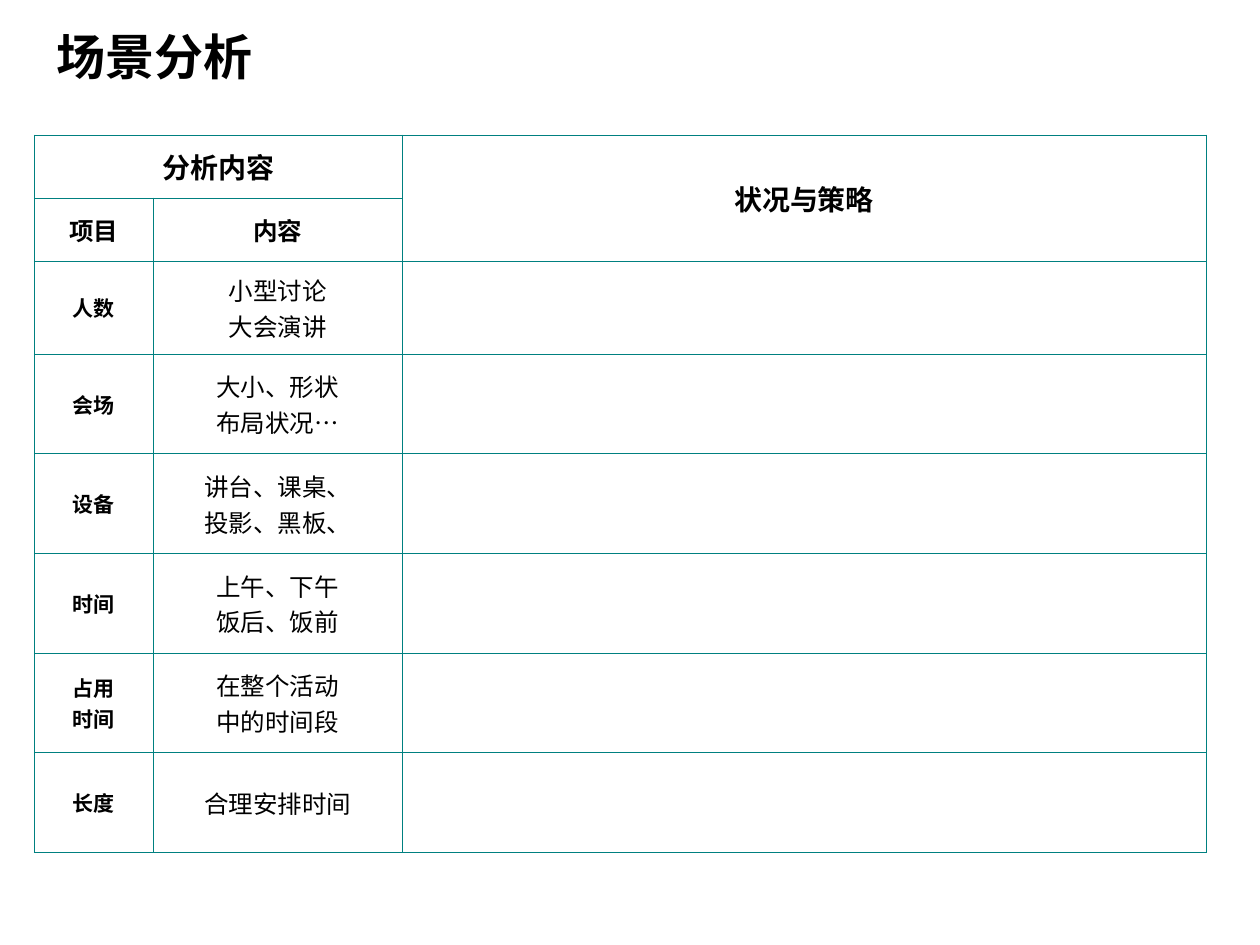
from dataclasses import dataclass

from lxml.etree import SubElement
from pptx import Presentation
from pptx.dml.color import RGBColor
from pptx.enum.text import MSO_ANCHOR, PP_ALIGN
from pptx.oxml.ns import qn
from pptx.slide import Slide
from pptx.table import Table, _Cell as Cell
from pptx.text.text import TextFrame
from pptx.util import Cm, Pt


@dataclass(frozen=True)
class Theme:
    ink: str = "000000"
    grid: str = "008080"
    grid_width: float = 0.45
    title_font: str = "Arial"
    table_font: str = "Times New Roman"
    title_size: int = 28
    header_size: int = 16
    body_size: int = 14
    item_size: int = 12


@dataclass(frozen=True)
class Aspect:
    item: str
    content: str


THEME = Theme()
ASPECTS = [
    Aspect("人数", "小型讨论\n大会演讲"),
    Aspect("会场", "大小、形状\n布局状况…"),
    Aspect("设备", "讲台、课桌、\n投影、黑板、"),
    Aspect("时间", "上午、下午\n饭后、饭前"),
    Aspect("占用\n时间", "在整个活动\n中的时间段"),
    Aspect("长度", "合理安排时间"),
]
COLUMN_WIDTHS = [Cm(2.4), Cm(5.02), Cm(16.2)]
ROW_HEIGHTS = [Cm(1.27)] * 2 + [Cm(1.88)] + [Cm(2.01)] * (len(ASPECTS) - 1)


def write(frame: TextFrame, wording: str, font_name: str, size: int,
          bold: bool, align: PP_ALIGN) -> None:
    frame.text = wording
    for paragraph in frame.paragraphs:
        paragraph.alignment = align
        for run in paragraph.runs:
            run.font.name = font_name
            run.font.size = Pt(size)
            run.font.bold = bold
            run.font.color.rgb = RGBColor.from_string(THEME.ink)


def write_cell(cell: Cell, wording: str, size: int, bold: bool = True) -> None:
    write(cell.text_frame, wording, THEME.table_font, size, bold, PP_ALIGN.CENTER)


def style_cell(cell: Cell) -> None:
    """Outline the cell on all sides and leave it unfilled."""
    cell.vertical_anchor = MSO_ANCHOR.MIDDLE
    properties = cell._tc.get_or_add_tcPr()
    for side in ("a:lnL", "a:lnR", "a:lnT", "a:lnB"):
        line = SubElement(properties, qn(side), w=str(int(Pt(THEME.grid_width))))
        fill = SubElement(line, qn("a:solidFill"))
        SubElement(fill, qn("a:srgbClr"), val=THEME.grid)
    cell.fill.background()


def add_title(slide: Slide) -> None:
    title = slide.shapes.add_textbox(Cm(0.89), Cm(0.33), Cm(18.62), Cm(1.6))
    frame = title.text_frame
    frame.word_wrap = True
    frame.vertical_anchor = MSO_ANCHOR.MIDDLE
    write(frame, "场景分析", THEME.title_font, THEME.title_size, True, PP_ALIGN.LEFT)


def add_grid(slide: Slide) -> Table:
    grid = slide.shapes.add_table(
        len(ROW_HEIGHTS), len(COLUMN_WIDTHS), Cm(0.69), Cm(2.72),
        sum(COLUMN_WIDTHS), sum(ROW_HEIGHTS)).table
    grid.first_row = grid.horz_banding = False
    for column, width in zip(grid.columns, COLUMN_WIDTHS):
        column.width = width
    for row, height in zip(grid.rows, ROW_HEIGHTS):
        row.height = height
    for cell in grid.iter_cells():
        style_cell(cell)
    return grid


def add_analysis(slide: Slide) -> None:
    grid = add_grid(slide)
    grid.cell(0, 0).merge(grid.cell(0, 1))
    grid.cell(0, 2).merge(grid.cell(1, 2))
    write_cell(grid.cell(0, 0), "分析内容", THEME.header_size)
    write_cell(grid.cell(0, 2), "状况与策略", THEME.header_size)
    write_cell(grid.cell(1, 0), "项目", THEME.body_size)
    write_cell(grid.cell(1, 1), "内容", THEME.body_size)
    for row, aspect in enumerate(ASPECTS, start=2):
        write_cell(grid.cell(row, 0), aspect.item, THEME.item_size)
        write_cell(grid.cell(row, 1), aspect.content, THEME.body_size, bold=False)


def main() -> None:
    presentation = Presentation()
    presentation.slide_width = Cm(25.4)
    presentation.slide_height = Cm(19.05)
    slide = presentation.slides.add_slide(presentation.slide_layouts[6])
    add_title(slide)
    add_analysis(slide)
    presentation.save("out.pptx")


if __name__ == "__main__":
    main()
